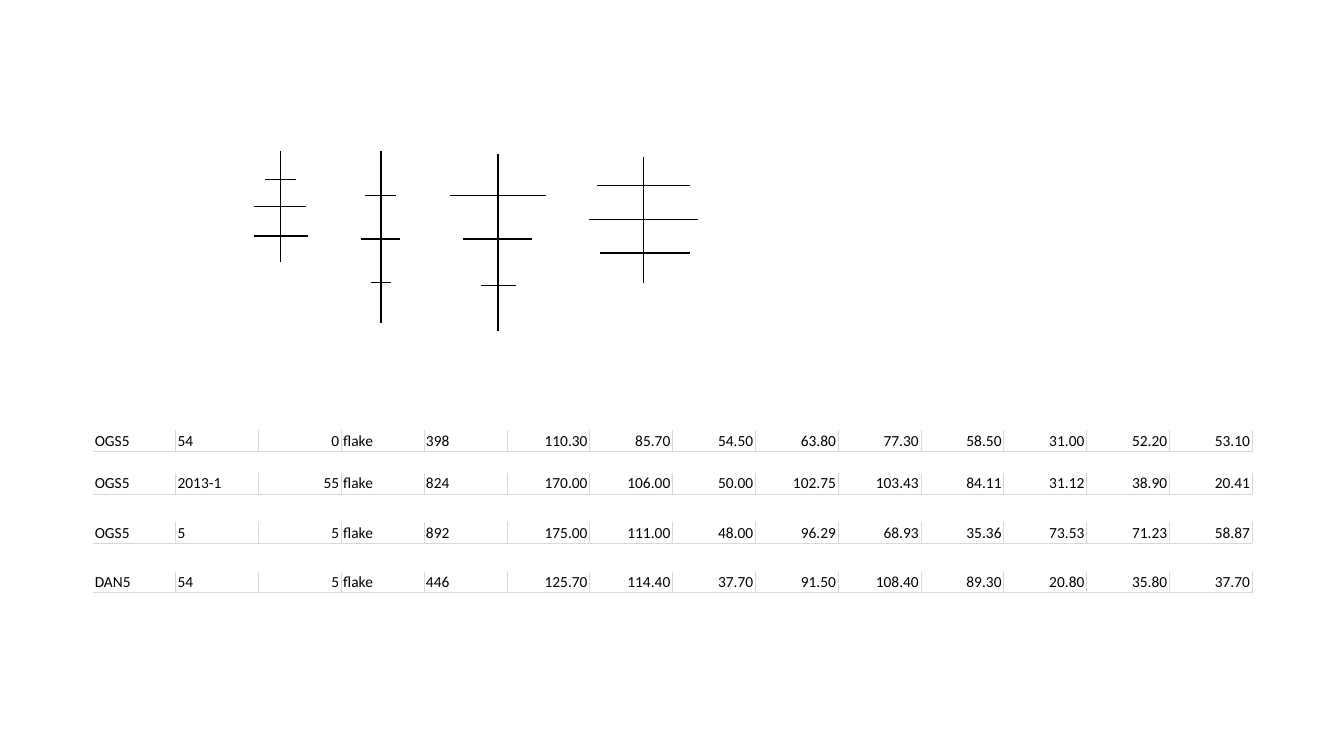
from dataclasses import dataclass

from lxml.etree import SubElement
from pptx import Presentation
from pptx.dml.color import RGBColor
from pptx.enum.shapes import MSO_CONNECTOR
from pptx.enum.text import MSO_ANCHOR, PP_ALIGN
from pptx.oxml import parse_xml
from pptx.oxml.ns import nsdecls, qn
from pptx.util import Inches, Pt


@dataclass
class Theme:
    ink: RGBColor = RGBColor(0, 0, 0)
    paper: RGBColor = RGBColor(255, 255, 255)
    border: str = "D6DADC"
    font: str = "Calibri"
    size: int = 11


theme = Theme()
NO_STYLE = "{2D5ABB26-0587-4C30-8999-92F81FD0307C}"

prs = Presentation()
prs.slide_width, prs.slide_height = Inches(13.33), Inches(7.5)
s = prs.slides.add_slide(prs.slide_layouts[6])


def add_line(x1, y1, x2, y2):
    line = s.shapes.add_connector(
        MSO_CONNECTOR.STRAIGHT, Inches(x1), Inches(y1), Inches(x2), Inches(y2))
    line.line.color.rgb = theme.ink
    line.line.width = Pt(1)
    SubElement(line._element.spPr, qn("a:effectLst"))


def add_border(tc_pr, side):
    tc_pr.append(parse_xml(
        f'<a:{side} {nsdecls("a")} w="4763"><a:solidFill>'
        f'<a:srgbClr val="{theme.border}"/></a:solidFill></a:{side}>'))


flakes = [
    (2.78, 1.5, 2.6, [(2.63, 2.94, 1.78), (2.52, 3.04, 2.05), (2.52, 3.05, 2.34)]),
    (3.78, 1.5, 3.2, [(3.62, 3.93, 1.94), (3.58, 3.97, 2.37), (3.68, 3.88, 2.8)]),
    (4.94, 1.53, 3.28, [(4.46, 5.42, 1.94), (4.59, 5.28, 2.37), (4.77, 5.12, 2.83)]),
    (6.38, 1.56, 2.81, [(5.92, 6.84, 1.84), (5.84, 6.92, 2.18), (5.95, 6.84, 2.51)]),
]
for axis, top, bottom, widths in flakes:
    add_line(axis, top, axis, bottom)
    for left, right, y in widths:
        add_line(left, y, right, y)

records = [
    (4.27, "OGS5 54 0 flake 398 110.30 85.70 54.50 63.80 77.30 58.50 31.00 52.20 53.10"),
    (4.69, "OGS5 2013-1 55 flake 824 170.00 106.00 50.00 102.75 103.43 84.11 31.12 38.90 20.41"),
    (5.18, "OGS5 5 5 flake 892 175.00 111.00 48.00 96.29 68.93 35.36 73.53 71.23 58.87"),
    (5.67, "DAN5 54 5 flake 446 125.70 114.40 37.70 91.50 108.40 89.30 20.80 35.80 37.70"),
]
left_columns = {0, 1, 3, 4}
for top, record in records:
    values = record.split()
    table = s.shapes.add_table(
        1, len(values), Inches(0.92), Inches(top), Inches(11.5), Inches(0.21)).table
    table.first_row = table.horz_banding = False
    table._tbl.tblPr.find(qn("a:tableStyleId")).text = NO_STYLE
    for col, value in enumerate(values):
        cell = table.cell(0, col)
        cell.margin_left = cell.margin_right = Inches(0.02)
        cell.margin_top = cell.margin_bottom = Inches(0.01)
        cell.vertical_anchor = MSO_ANCHOR.MIDDLE
        tc_pr = cell._tc.get_or_add_tcPr()
        for side in ("lnR", "lnB"):
            add_border(tc_pr, side)
        cell.fill.solid()
        cell.fill.fore_color.rgb = theme.paper
        p = cell.text_frame.paragraphs[0]
        p.text = value
        p.alignment = PP_ALIGN.LEFT if col in left_columns else PP_ALIGN.RIGHT
        p.font.name = theme.font
        p.font.size = Pt(theme.size)
        p.font.color.rgb = theme.ink

prs.save("out.pptx")
